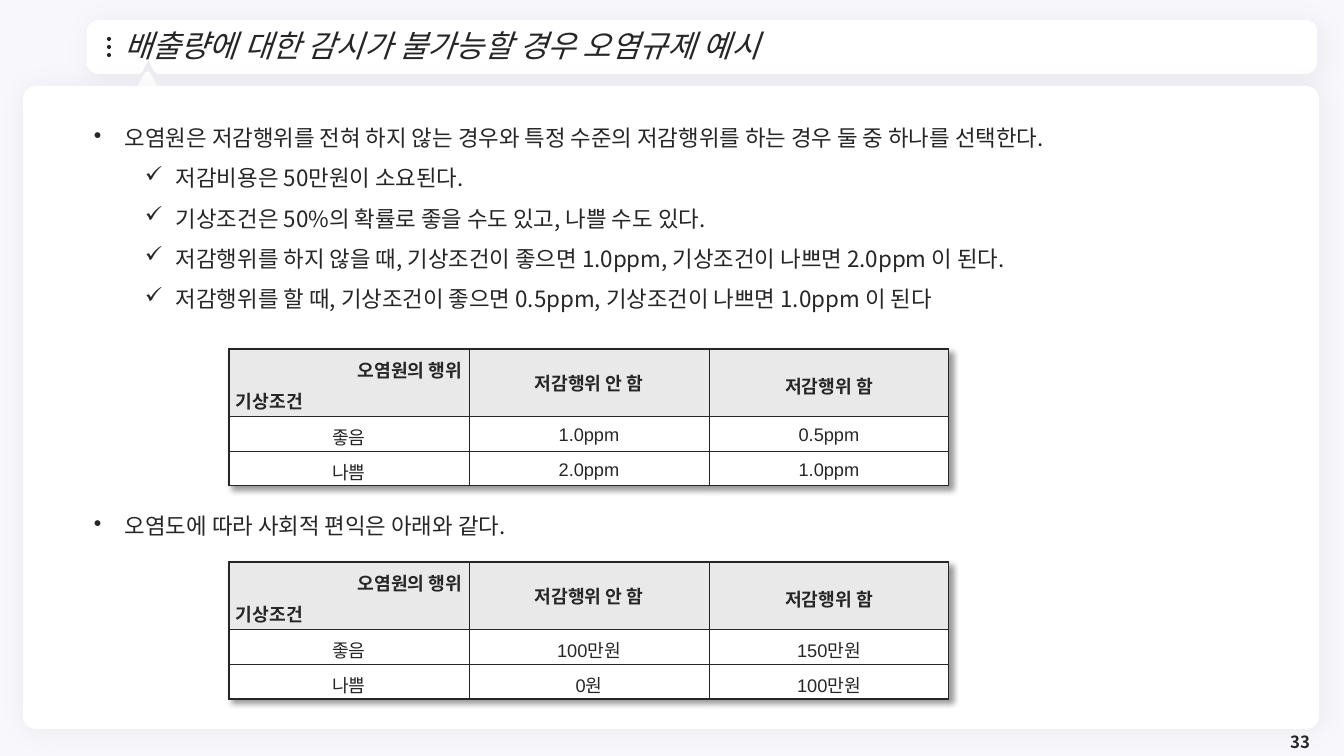
"""Build the slide on pollution control when emissions cannot be monitored."""
import math
from typing import NamedTuple

from lxml import etree
from pptx import Presentation, util as u
from pptx.dml.color import RGBColor
from pptx.enum import shapes, text
from pptx.oxml.ns import qn

PX = 12192000 / 1344
INK = RGBColor(0x26, 0x26, 0x26)
WHITE = RGBColor(0xFF, 0xFF, 0xFF)
HEADING_GREY = RGBColor(0xE9, 0xE9, 0xE9)
BACKDROP = RGBColor(0xF8, 0xF7, 0xFC)
KOREAN_FONT = "Noto Sans CJK KR"
LEFT, CENTER, RIGHT = text.PP_ALIGN.LEFT, text.PP_ALIGN.CENTER, text.PP_ALIGN.RIGHT


class Box(NamedTuple):
    left: int
    top: int
    width: int
    height: int


class Shadow(NamedTuple):
    opacity: int
    blur: int
    distance: int


class Point(NamedTuple):
    wording: str
    bullet: str = "•"
    level: int = 0
    indent: int = 41


class Matrix(NamedTuple):
    top: int
    good_weather: tuple[str, str]
    bad_weather: tuple[str, str]


SOFT = Shadow(5, 20, 3)
CRISP = Shadow(40, 4, 3)
HEADINGS = ("저감행위 안 함", "저감행위 함")
ROW_HEIGHTS = (67, 35, 35)
COLUMN_WIDTH = 240
MATRICES = (
    Matrix(349, ("1.0ppm", "0.5ppm"), ("2.0ppm", "1.0ppm")),
    Matrix(562, ("100만원", "150만원"), ("0원", "100만원")),
)


def detail(wording: str) -> Point:
    return Point(wording, "✓", 1, 92)


CHOICES = (
    Point("오염원은 저감행위를 전혀 하지 않는 경우와 특정 수준의 저감행위를 하는 경우 둘 중 하나를 선택한다."),
    detail("저감비용은 50만원이 소요된다."),
    detail("기상조건은 50%의 확률로 좋을 수도 있고, 나쁠 수도 있다."),
    detail("저감행위를 하지 않을 때, 기상조건이 좋으면 1.0ppm, 기상조건이 나쁘면 2.0ppm 이 된다."),
    detail("저감행위를 할 때, 기상조건이 좋으면 0.5ppm, 기상조건이 나쁘면 1.0ppm 이 된다"),
)
BENEFITS = (Point("오염도에 따라 사회적 편익은 아래와 같다."),)


def px(length: float) -> int:
    return round(length * PX)


def emu(box: Box) -> list[int]:
    return [px(length) for length in box]


def add_node(parent, tag: str, **attributes):
    return etree.SubElement(parent, qn(tag), {k: str(v) for k, v in attributes.items()})


def cast_shadow(properties, shadow: Shadow) -> None:
    outer = add_node(add_node(properties, "a:effectLst"), "a:outerShdw",
                     blurRad=u.Pt(shadow.blur), dist=u.Pt(shadow.distance),
                     dir=2700000, algn="tl", rotWithShape=0)
    add_node(add_node(outer, "a:srgbClr", val="000000"), "a:alpha", val=shadow.opacity * 1000)


def paint(shape, color: RGBColor, line_width: float = 0) -> None:
    shape.shadow.inherit = False
    shape.fill.solid()
    shape.fill.fore_color.rgb = color
    if line_width:
        shape.line.color.rgb = color
        shape.line.width = u.Pt(line_width)
    else:
        shape.line.fill.background()


def shade(shape) -> None:
    properties = shape.element.spPr
    properties.remove(properties.find(qn("a:effectLst")))
    cast_shadow(properties, SOFT)


def style(paragraph, size: int, align=LEFT, spacing: float = 1.0, bold: bool = False,
          italic: bool = False, font_name: str = KOREAN_FONT) -> None:
    paragraph.alignment, paragraph.line_spacing = align, spacing
    font = paragraph.font
    font.name, font.size, font.bold, font.italic = font_name, u.Pt(size), bold, italic
    font.color.rgb = INK
    defaults = paragraph._p.pPr.find(qn("a:defRPr"))
    add_node(defaults, "a:ea", typeface=KOREAN_FONT)


def add_header(slide) -> None:
    left, top, right, bottom, radius = 92, 25, 1312, 69, 7
    corners = ((right - radius, top + radius, -90), (right - radius, bottom - radius, 0),
               (left + radius, bottom - radius, 90), (left + radius, top + radius, 180))
    outline = []
    for x, y, start in corners:
        if start == 90:
            outline += [(159, bottom), (148, 50), (138, bottom)]
        for step in range(0, 91, 15):
            angle = math.radians(start + step)
            outline.append((x + radius * math.cos(angle), y + radius * math.sin(angle)))
    builder = slide.shapes.build_freeform(*outline[0], scale=PX)
    builder.add_line_segments(outline[1:])
    header = builder.convert_to_shape()
    paint(header, WHITE, 7.25)
    shade(header)
    for row in range(3):
        dot = slide.shapes.add_shape(shapes.MSO_SHAPE.OVAL, *emu(Box(107, 37 + 8 * row, 4, 4)))
        paint(dot, INK)


def add_card(slide):
    pointer = slide.shapes.add_shape(shapes.MSO_SHAPE.ISOSCELES_TRIANGLE, *emu(Box(136, 74, 23, 20)))
    paint(pointer, WHITE, 3.75)
    card = slide.shapes.add_shape(shapes.MSO_SHAPE.ROUNDED_RECTANGLE, *emu(Box(23, 86, 1296, 643)))
    card.adjustments[0] = 0.02
    paint(card, WHITE)
    shade(card)
    return card


def place_title(slide, card) -> None:
    title = slide.shapes.title
    title.left, title.top, title.width, title.height = emu(Box(114, 35, 1150, 26))
    frame = title.text_frame
    frame.text = "배출량에 대한 감시가 불가능할 경우 오염규제 예시"
    frame.auto_size, frame.vertical_anchor = text.MSO_AUTO_SIZE.NONE, text.MSO_ANCHOR.MIDDLE
    style(frame.paragraphs[0], 22, spacing=0.9, italic=True)
    card.element.addnext(title.element)


def add_points(slide, box: Box, points: tuple[Point, ...]) -> None:
    frame = slide.shapes.add_textbox(*emu(box)).text_frame
    frame.word_wrap = True
    frame.text = "\n".join(point.wording for point in points)
    for paragraph, point in zip(frame.paragraphs, points):
        paragraph.level = point.level
        style(paragraph, 16, spacing=1.5)
        properties = paragraph._p.pPr
        properties.set("marL", str(px(point.indent)))
        properties.set("indent", str(px(-31)))
        bullet = add_node(properties, "a:buChar", char=point.bullet)
        properties.find(qn("a:defRPr")).addprevious(bullet)


def add_border(cell, side: str, width: float) -> None:
    line = add_node(cell._tc.get_or_add_tcPr(), f"a:ln{side}", w=u.Pt(width))
    add_node(add_node(line, "a:solidFill"), "a:srgbClr", val=INK)


def add_matrix(slide, matrix: Matrix) -> None:
    rows = (("오염원의 행위\n기상조건", *HEADINGS), ("좋음", *matrix.good_weather),
            ("나쁨", *matrix.bad_weather))
    box = Box(229, matrix.top, 3 * COLUMN_WIDTH, sum(ROW_HEIGHTS))
    table = slide.shapes.add_table(3, 3, *emu(box)).table
    table.first_row = table.horz_banding = False
    cast_shadow(table._tbl.tblPr, CRISP)
    style_id = table._tbl.tblPr.find(qn("a:tableStyleId"))
    table._tbl.tblPr.append(style_id)
    for r, (height, wordings) in enumerate(zip(ROW_HEIGHTS, rows)):
        table.rows[r].height = px(height)
        for c, wording in enumerate(wordings):
            table.columns[c].width = px(COLUMN_WIDTH)
            cell = table.cell(r, c)
            for side, outer in (("L", c == 0), ("R", c == 2), ("T", r == 0), ("B", r == 2)):
                add_border(cell, side, 1 if outer else 0.5)
            cell.fill.solid()
            cell.fill.fore_color.rgb = WHITE if r else HEADING_GREY
            cell.margin_left = cell.margin_right = px(7)
            cell.margin_top = cell.margin_bottom = px(2)
            cell.vertical_anchor = text.MSO_ANCHOR.MIDDLE
            cell.text = wording
            aligns = (CENTER,) if r or c else (RIGHT, LEFT)
            spacing = 1.0 if (r, c) == (0, 1) else 1.2
            for paragraph, align in zip(cell.text_frame.paragraphs, aligns):
                style(paragraph, 13, align, spacing, bold=r == 0, font_name="Arial")


def add_page_number(slide) -> None:
    frame = slide.shapes.add_textbox(*emu(Box(1018, 729, 302, 26))).text_frame
    frame.word_wrap, frame.vertical_anchor = True, text.MSO_ANCHOR.MIDDLE
    frame.text = "33"
    style(frame.paragraphs[0], 12, RIGHT, bold=True)


def main() -> None:
    deck = Presentation()
    deck.slide_width, deck.slide_height = px(1344), px(756)
    slide = deck.slides.add_slide(deck.slide_layouts[5])
    slide.background.fill.solid()
    slide.background.fill.fore_color.rgb = BACKDROP
    add_header(slide)
    place_title(slide, add_card(slide))
    add_page_number(slide)
    for matrix in MATRICES:
        add_matrix(slide, matrix)
    add_points(slide, Box(74, 106, 1199, 209), CHOICES)
    add_points(slide, Box(74, 494, 1199, 45), BENEFITS)
    deck.save("out.pptx")


if __name__ == "__main__":
    main()
